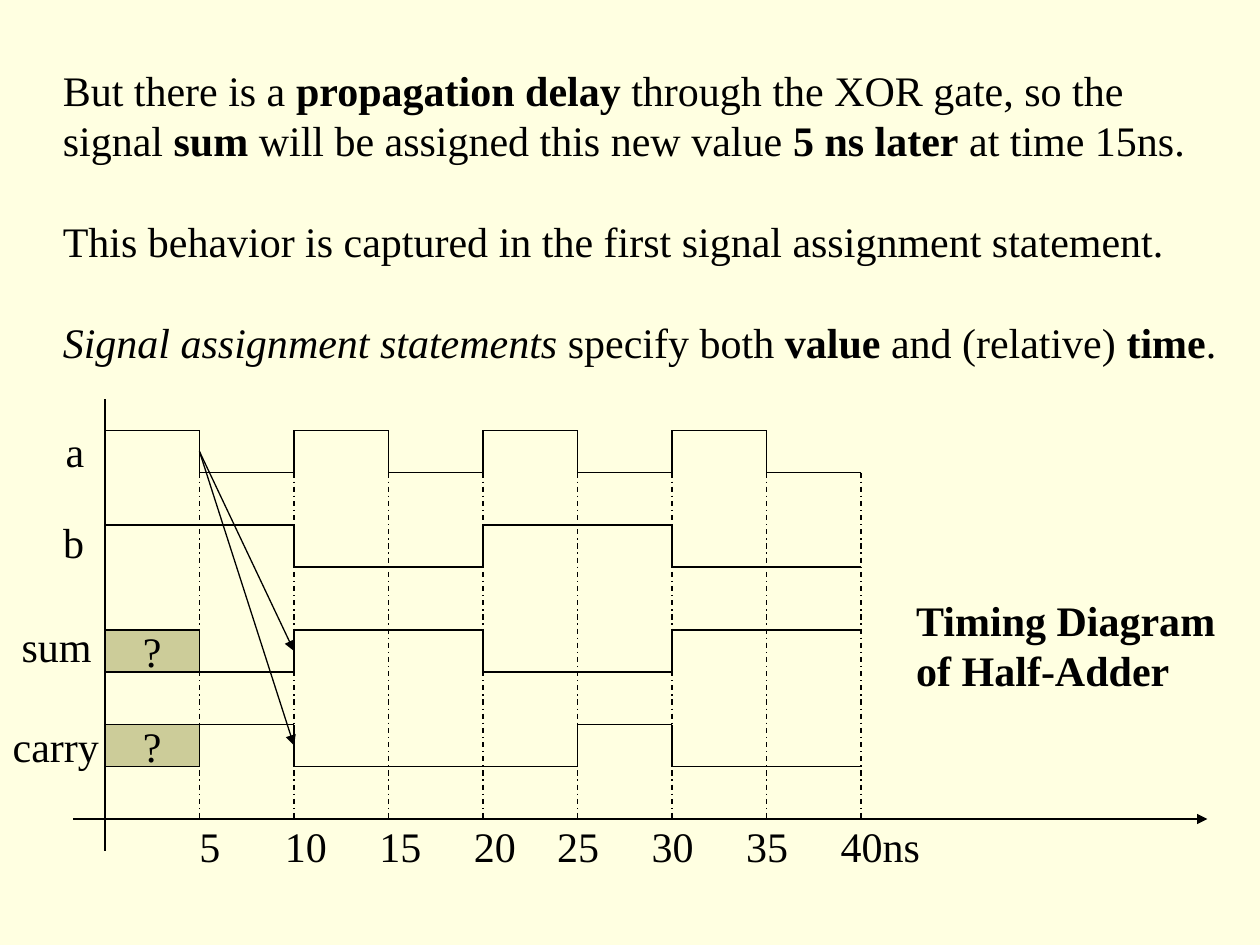
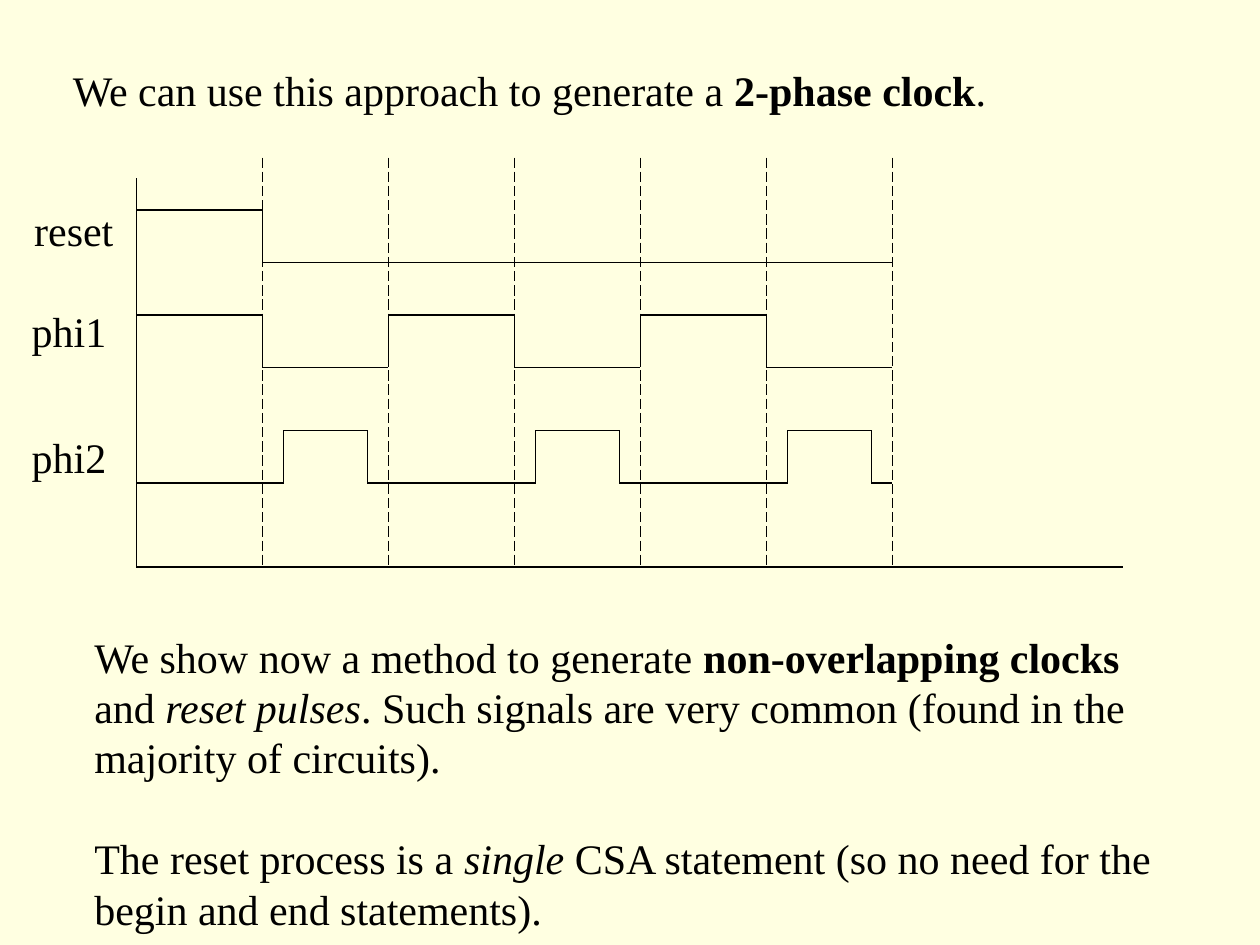
"""Build two slides of timing diagrams: a half-adder and a two-phase clock."""
from itertools import pairwise

from lxml import etree
from pptx import Presentation
from pptx.dml.color import RGBColor
from pptx.enum import dml, shapes, text
from pptx.oxml import ns
from pptx.util import Inches, Pt

CREAM = RGBColor(0xFF, 0xFF, 0xE1)
KHAKI = RGBColor(0xCC, 0xCC, 0x99)
BLACK = RGBColor(0, 0, 0)
FONT = "Times New Roman"
FONT_SIZE = Pt(24)
LINE_HEIGHT = Pt(28.8)
LINE_WIDTH = Pt(0.75)


def style_paragraph(paragraph, bold=None):
    """Give a paragraph the shared font and line height."""
    paragraph.line_spacing = LINE_HEIGHT
    font = paragraph.font
    font.name, font.size, font.bold = FONT, FONT_SIZE, bold
    font.color.rgb = BLACK


def add_text(slide, box, blocks, bold=None, tab_stops=()):
    """Write blocks of lines, each line a list of (words, style) runs."""
    frame = slide.shapes.add_textbox(*map(Inches, box)).text_frame
    frame.word_wrap = False
    frame.auto_size = text.MSO_AUTO_SIZE.SHAPE_TO_FIT_TEXT
    paragraph = None
    for block in blocks:
        for number, line in enumerate(block):
            starts_new_block = paragraph is not None and number == 0
            paragraph = frame.paragraphs[0] if paragraph is None else frame.add_paragraph()
            if starts_new_block:
                paragraph.space_before = LINE_HEIGHT
            if tab_stops:
                add_tab_stops(paragraph, tab_stops)
            style_paragraph(paragraph, bold)
            for words, style in line:
                run = paragraph.add_run()
                run.text = words
                if style == "bold":
                    run.font.bold = True
                elif style == "italic":
                    run.font.italic = True


def add_tab_stops(paragraph, positions):
    """Set left tab stops, in inches from the text edge."""
    properties = paragraph._p.get_or_add_pPr()
    tab_list = etree.SubElement(properties, ns.qn("a:tabLst"))
    for position in positions:
        etree.SubElement(tab_list, ns.qn("a:tab"), pos=str(Inches(position)), algn="l")


def add_label(slide, box, words, bold=None):
    """Write a label, one line for each line of words."""
    add_text(slide, box, [[[(line, "")] for line in words.split("\n")]], bold)


def add_line(slide, start, end, dash=None, arrow=False):
    """Draw a thin straight line, with an arrowhead at its end if asked."""
    line = slide.shapes.add_connector(
        shapes.MSO_CONNECTOR.STRAIGHT, *map(Inches, (*start, *end)))
    line.line.color.rgb = BLACK
    line.line.width = LINE_WIDTH
    if dash:
        line.line.dash_style = dash
    if arrow:
        etree.SubElement(line.line._get_or_add_ln(), ns.qn("a:tailEnd"), type="triangle")
    etree.SubElement(line._element.spPr, ns.qn("a:effectLst"))


def add_wave(slide, left, high, low, unit, edges, starts_high):
    """Draw a square wave that changes level at each inner edge time."""
    level, other = (high, low) if starts_high else (low, high)
    for start, end in pairwise(edges):
        x, next_x = left + start * unit, left + end * unit
        add_line(slide, (x, level), (next_x, level))
        if end != edges[-1]:
            add_line(slide, (next_x, high), (next_x, low))
        level, other = other, level


def add_grid(slide, left, top, bottom, unit, count, dash):
    """Draw the dashed vertical time marks."""
    for tick in range(1, count + 1):
        x = left + tick * unit
        add_line(slide, (x, top), (x, bottom), dash)


def add_unknown_value(slide, left, top, width, height):
    """Draw a filled question-mark box over an undefined signal."""
    box = slide.shapes.add_shape(
        shapes.MSO_SHAPE.RECTANGLE, *map(Inches, (left, top, width, height)))
    box.shadow.inherit = False
    box.fill.solid()
    box.fill.fore_color.rgb = KHAKI
    box.line.color.rgb = BLACK
    box.line.width = LINE_WIDTH
    frame = box.text_frame
    frame.word_wrap = False
    frame.vertical_anchor = text.MSO_ANCHOR.MIDDLE
    paragraph = frame.paragraphs[0]
    paragraph.text = "?"
    paragraph.alignment = text.PP_ALIGN.CENTER
    style_paragraph(paragraph)


def draw_half_adder(slide, left, top):
    """Draw the half-adder timing diagram from the top of its value axis."""
    unit, swing, axis = 0.75, 4 / 12, top + 40 / 12
    add_line(slide, (left - 0.25, axis), (left + 8.75, axis), arrow=True)
    add_line(slide, (left, axis + 0.25), (left, top))
    add_grid(slide, left, top + 7 / 12, axis, unit, 8, dml.MSO_LINE.DASH_DOT)
    signals = [
        ("a", 0.25, range(9), True, (-0.41, 0.16, 0.38)),
        ("b", 1, (0, 2, 4, 6, 8), True, (-0.43, 0.88, 0.4)),
        ("sum", 22 / 12, (0, 2, 4, 6, 8), False, (-0.76, 1.71, 0.8)),
        ("carry", 31 / 12, (0, 2, 5, 6, 8), True, (-0.83, 2.5, 0.93)),
    ]
    for name, offset, edges, starts_high, (label_x, label_y, label_width) in signals:
        high = top + offset
        add_wave(slide, left, high, high + swing, unit, edges, starts_high)
        add_label(slide, (left + label_x, top + label_y, label_width, 0.5), name)
        if name in ("sum", "carry"):
            add_line(slide, (left + unit, top + 5 / 12),
                     (left + 2 * unit, high + swing / 2), arrow=True)
            add_unknown_value(slide, left, high, unit, swing)
    times = "\t".join(str(time) for time in range(5, 45, 5)) + "ns"
    tab_stops = [0.68 + unit * n for n in range(3)] + [2.84 + unit * n for n in range(4)]
    add_text(slide, (left + 0.65, axis - 0.04, 6.05, 0.5), [[[(times, "")]]],
             tab_stops=tab_stops)
    add_label(slide, (left + 6.34, top + 1.5, 2.62, 0.9),
              "Timing Diagram\nof Half-Adder", bold=True)


def draw_clock(slide, left, top):
    """Draw the two-phase clock diagram from the top of its value axis."""
    unit, swing, axis = 1, 5 / 12, top + 37 / 12
    add_line(slide, (left, top), (left, axis))
    add_line(slide, (left, axis), (left + 7.83, axis))
    phi2_edges = (0, 7 / 6, 11 / 6, 19 / 6, 23 / 6, 31 / 6, 35 / 6, 6)
    signals = [
        ("reset", 0.25, (0, 1, 6), True, (-0.91, 0.16, 0.85)),
        ("phi1", 13 / 12, range(7), True, (-0.93, 0.96, 0.82)),
        ("phi2", 2, phi2_edges, False, (-0.93, 1.96, 0.82)),
    ]
    for name, offset, edges, starts_high, (label_x, label_y, label_width) in signals:
        high = top + offset
        add_wave(slide, left, high, high + swing, unit, edges, starts_high)
        add_label(slide, (left + label_x, top + label_y, label_width, 0.5), name)
    add_grid(slide, left, top - 2 / 12, axis, unit, 6, dml.MSO_LINE.LONG_DASH)


def build_half_adder_slide(slide):
    """Explain the propagation delay above the half-adder diagram."""
    add_text(slide, (0.4, 0.46, 9.45, 2.5), [
        [[("But there is a ", ""), ("propagation delay", "bold"),
          (" through the XOR gate, so the", "")],
         [("signal ", ""), ("sum", "bold"), (" will be assigned this new value ", ""),
          ("5 ns later", "bold"), (" at time 15ns.", "")]],
        [[("This behavior is captured in the first signal assignment statement.", "")]],
        [[("Signal assignment statements", "italic"), (" specify both ", ""),
          ("value", "bold"), (" and (relative) ", ""), ("time", "bold"), (".", "")]],
    ])
    draw_half_adder(slide, 10 / 12, 38 / 12)


def build_clock_slide(slide):
    """Show the two-phase clock diagram between its explanations."""
    add_text(slide, (0.48, 0.46, 7.5, 0.5), [
        [[("We can use this approach to generate a ", ""),
          ("2-phase clock", "bold"), (".", "")]],
    ])
    draw_clock(slide, 13 / 12, 17 / 12)
    add_text(slide, (0.65, 4.96, 8.65, 2.5), [
        [[("We show now a method to generate ", ""), ("non-overlapping clocks", "bold")],
         [("and ", ""), ("reset pulses", "italic"),
          (". Such signals are very common (found in the", "")],
         [("majority of circuits).", "")]],
        [[("The reset process is a ", ""), ("single", "italic"),
          (" CSA statement (so no need for the", "")],
         [("begin and end statements).", "")]],
    ])


def main():
    """Build and save the presentation."""
    presentation = Presentation()
    presentation.slide_width, presentation.slide_height = Inches(10), Inches(7.5)
    background = presentation.slide_master.background.fill
    background.solid()
    background.fore_color.rgb = CREAM
    blank_layout = presentation.slide_layouts[6]
    for build in (build_half_adder_slide, build_clock_slide):
        build(presentation.slides.add_slide(blank_layout))
    presentation.save("out.pptx")


if __name__ == "__main__":
    main()
